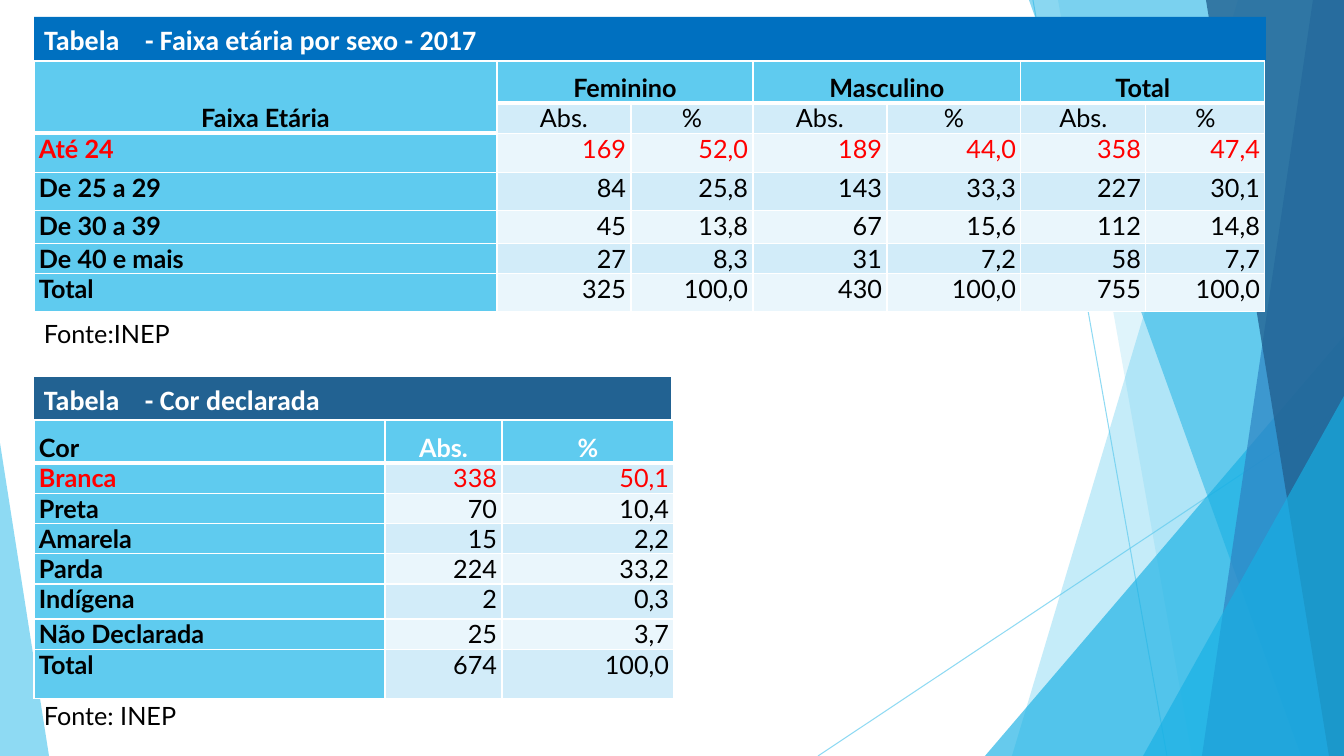
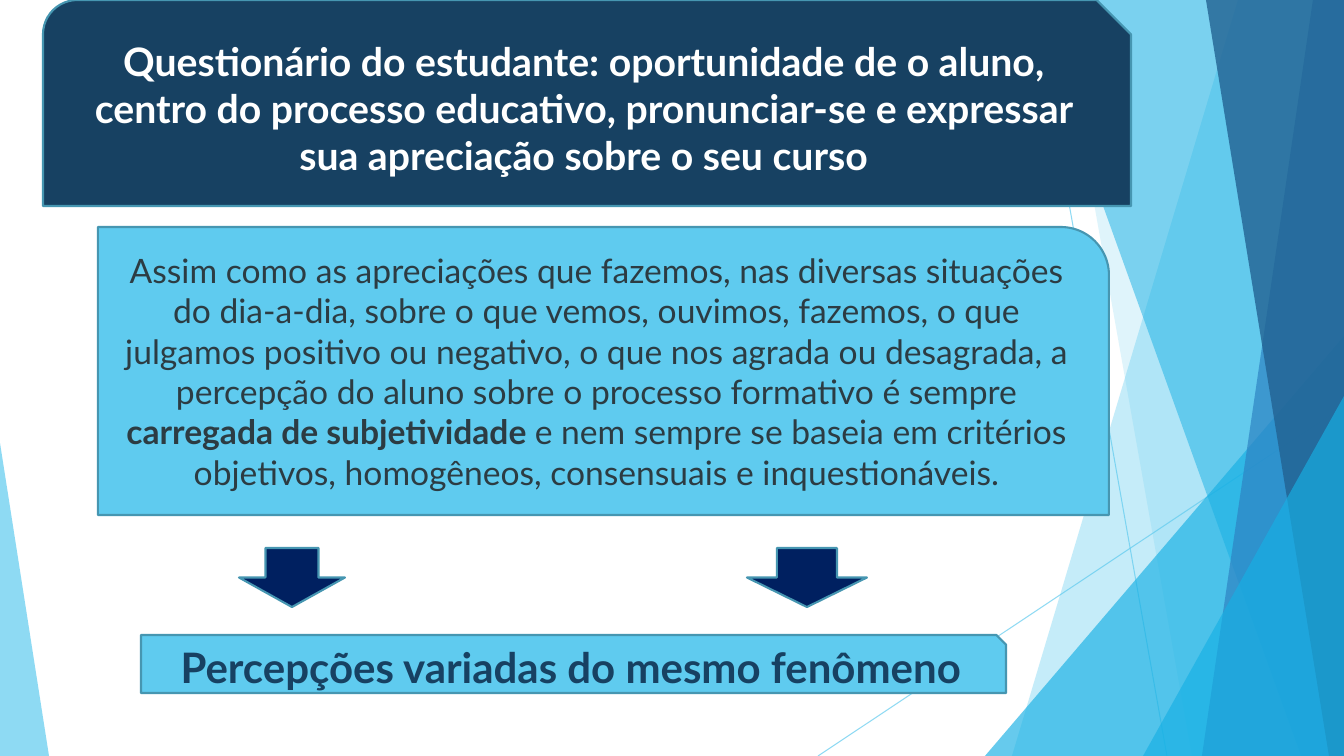
from lxml import etree
from pptx import Presentation
from pptx.dml.color import RGBColor
from pptx.enum.shapes import MSO_CONNECTOR, MSO_SHAPE
from pptx.enum.text import MSO_ANCHOR, MSO_AUTO_SIZE, PP_ALIGN
from pptx.oxml.ns import qn
from pptx.util import Pt

LEFT, CENTER, RIGHT = PP_ALIGN.LEFT, PP_ALIGN.CENTER, PP_ALIGN.RIGHT
TOP, MIDDLE, BOTTOM = MSO_ANCHOR.TOP, MSO_ANCHOR.MIDDLE, MSO_ANCHOR.BOTTOM
RECT, TRIANGLE = MSO_SHAPE.RECTANGLE, MSO_SHAPE.ISOSCELES_TRIANGLE
SNIP_ROUND, ROUND_ONE = MSO_SHAPE.SNIP_ROUND_RECTANGLE, MSO_SHAPE.ROUND_1_RECTANGLE
SNIP_ONE, DOWN_ARROW = MSO_SHAPE.SNIP_1_RECTANGLE, MSO_SHAPE.DOWN_ARROW
STRAIGHT, NO_AUTOFIT = MSO_CONNECTOR.STRAIGHT, MSO_AUTO_SIZE.NONE

WIDTH, HEIGHT = 1344, 756
SCALE = 12192000 / WIDTH
SKY, CYAN, BLUE, STEEL = "5FCBEF", "17B0E4", "2E83C3", "226292"
NAVY, DEEP, OUTLINE, SLATE = "174162", "002060", "4696B1", "2C3C43"
ROYAL, PALE, PALER = "0070C0", "D2ECF9", "EAF6FC"
WHITE, BLACK, RED = "FFFFFF", "000000", "FF0000"
TEXT_FONT, BAR_FONT = "Lato", "Calibri"
TITLE_LAYOUT = 5
TAB_STOP = 101

RAYS = [((1033, 0), (1167, 756)), ((1344, 406), (818, 756))]
FACETS = [
    ("band", 1238, 1012, SKY, 36),
    ("band", 1058, 1192, SKY, 20),
    ("wedge", (985, 336, 359, 420), 1, CYAN, 66),
    ("band", 1029, 1301, CYAN, 50),
    ("band", 1313, 1202, BLUE, 70),
    ("band", 1206, 1329, STEEL, 80),
    ("wedge", (1143, 396, 201, 360), 1, CYAN, 66),
    ("wedge", (0, 443, 49, 313), 0, SKY, 70),
]

AGE = {
    "at": (34, 61),
    "columns": [463, 134, 122, 134, 134, 125, 119],
    "heights": [42, 29, 39, 38, 33, 30, 38],
    "head": [
        ["Faixa Etária", "Feminino", None, "Masculino", None, "Total", None],
        [None] + ["Abs.", "%"] * 3,
    ],
    "merges": [(0, 0, 1, 0), (0, 1, 0, 2), (0, 3, 0, 4), (0, 5, 0, 6)],
    "label_align": CENTER,
    "measure_color": BLACK,
    "highlight": "Até 24",
    "body": [
        ["Até 24", "169", "52,0", "189", "44,0", "358", "47,4"],
        ["De 25 a 29", "84", "25,8", "143", "33,3", "227", "30,1"],
        ["De 30 a 39", "45", "13,8", "67", "15,6", "112", "14,8"],
        ["De 40 e mais", "27", "8,3", "31", "7,2", "58", "7,7"],
        ["Total", "325", "100,0", "430", "100,0", "755", "100,0"],
    ],
}
RACE = {
    "at": (34, 420),
    "columns": [351, 117, 172],
    "heights": [43, 30, 30, 30, 30, 35, 30, 49],
    "head": [["Cor", "Abs.", "%"]],
    "merges": [],
    "label_align": LEFT,
    "measure_color": WHITE,
    "highlight": "Branca",
    "body": [
        ["Branca", "338", "50,1"],
        ["Preta", "70", "10,4"],
        ["Amarela", "15", "2,2"],
        ["Parda", "224", "33,2"],
        ["Indígena", "2", "0,3"],
        ["Não Declarada", "25", "3,7"],
        ["Total", "674", "100,0"],
    ],
}
AGE_TITLE = "Tabela\t- Faixa etária por sexo - 2017"
RACE_TITLE = "Tabela\t- Cor declarada"
SOURCES = [("Fonte:INEP", (34, 313, 273, 40)), ("Fonte: INEP", (34, 695, 274, 41))]

SURVEY_TITLE = (
    "Questionário do estudante: oportunidade de o aluno, centro do processo "
    "educativo, pronunciar-se e expressar sua apreciação sobre o seu curso"
)
PERCEPTION = [
    ("Assim como as apreciações que fazemos, nas diversas situações do dia-a-dia, "
     "sobre o que vemos, ouvimos, fazemos, o que julgamos positivo ou negativo, "
     "o que nos agrada ou desagrada, a percepção do aluno sobre o processo "
     "formativo é sempre ", False),
    ("carregada de subjetividade ", True),
    ("e nem sempre se baseia em critérios objetivos, homogêneos, consensuais e "
     "inquestionáveis.", False),
]
CONCLUSION = "Percepções variadas do mesmo fenômeno"
ARROWS = [(239, 548, 106, 59), (747, 548, 120, 59)]


def px(length):
    return round(length * SCALE)


def rgb(value):
    return RGBColor.from_string(value)


def paint(shape, color, outline=None):
    shape.fill.solid()
    shape.fill.fore_color.rgb = rgb(color)
    if outline:
        shape.line.color.rgb = rgb(outline)
        shape.line.width = Pt(1.5)
    else:
        shape.line.fill.background()


def set_alpha(shape, percent):
    for color in shape.element.spPr.findall(".//" + qn("a:srgbClr")):
        etree.SubElement(color, qn("a:alpha"), val=str(percent * 1000))


def add_block(slide, preset, box, color, outline=None):
    block = slide.shapes.add_shape(preset, *map(px, box))
    block.shadow.inherit = False
    paint(block, color, outline)
    return block


def style(paragraph, size, color, bold=False, align=LEFT, font=TEXT_FONT):
    paragraph.alignment = align
    paragraph.font.size = Pt(size)
    paragraph.font.name = font
    paragraph.font.bold = bold
    paragraph.font.color.rgb = rgb(color)


def write(shape, text, size, color, bold=False, align=LEFT, font=TEXT_FONT, anchor=MIDDLE):
    frame = shape.text_frame
    frame.word_wrap = True
    frame.auto_size = NO_AUTOFIT
    frame.vertical_anchor = anchor
    frame.text = text
    style(frame.paragraphs[0], size, color, bold, align, font)
    return frame.paragraphs[0]


def place(shape, box):
    shape.left, shape.top, shape.width, shape.height = map(px, box)


def write_bar(bar, text, color):
    paint(bar, color)
    paragraph = write(bar, text, 20, WHITE, True, font=BAR_FONT)
    tabs = etree.Element(qn("a:tabLst"))
    etree.SubElement(tabs, qn("a:tab"), pos=str(px(TAB_STOP)), algn="l")
    paragraph._p.pPr.find(qn("a:defRPr")).addprevious(tabs)


def add_ray(slide, start, end):
    ray = slide.shapes.add_connector(STRAIGHT, *map(px, start + end))
    ray.line.color.rgb = rgb(SKY)
    ray.line.width = Pt(0.75)
    set_alpha(ray, 70)
    etree.SubElement(ray.element.spPr, qn("a:effectLst"))
    return ray


def add_band(slide, top_x, bottom_x, color):
    outline = slide.shapes.build_freeform(px(top_x), 0)
    corners = [(WIDTH, 0), (WIDTH, HEIGHT), (bottom_x, HEIGHT)]
    outline.add_line_segments([(px(x), px(y)) for x, y in corners])
    band = outline.convert_to_shape()
    band.shadow.inherit = False
    paint(band, color)
    return band


def add_wedge(slide, box, apex, color):
    wedge = add_block(slide, TRIANGLE, box, color)
    wedge.adjustments[0] = apex
    return wedge


def decorate(layout, slide):
    decor = [add_ray(slide, *ends) for ends in RAYS]
    for kind, first, second, color, alpha in FACETS:
        facet = (add_band if kind == "band" else add_wedge)(slide, first, second, color)
        set_alpha(facet, alpha)
        decor.append(facet)
    for number, part in enumerate(decor, 100):
        part.element.xpath("./*/p:cNvPr")[0].set("id", str(number))
        layout.shapes.element.append(part.element)


def add_borders(cell, bottom):
    properties = cell._tc.get_or_add_tcPr()
    for side, width in (("L", 1), ("R", 1), ("T", 1), ("B", bottom)):
        border = etree.SubElement(properties, qn("a:ln" + side), w=str(int(Pt(width))))
        fill = etree.SubElement(border, qn("a:solidFill"))
        etree.SubElement(fill, qn("a:srgbClr"), val=WHITE)


def add_data_table(slide, data):
    rows = data["head"] + data["body"]
    head_count = len(data["head"])
    widths, heights = data["columns"], data["heights"]
    size = (sum(widths), sum(heights))
    table = slide.shapes.add_table(
        len(rows), len(widths), *map(px, data["at"] + size)).table
    table.horz_banding = False
    for column, width in zip(table.columns, widths):
        column.width = px(width)
    for row, height in zip(table.rows, heights):
        row.height = px(height)
    for top, left, bottom, right in data["merges"]:
        table.cell(top, left).merge(table.cell(bottom, right))
    for r, row in enumerate(rows):
        for c, text in enumerate(row):
            cell = table.cell(r, c)
            strong = r == 0 or c == 0
            is_head = r < head_count
            add_borders(cell, 3 if is_head and strong else 1)
            cell.fill.solid()
            cell.fill.fore_color.rgb = rgb(SKY if strong else PALE if r % 2 else PALER)
            cell.margin_left = cell.margin_right = px(5)
            cell.margin_top = cell.margin_bottom = 0
            cell.vertical_anchor = BOTTOM if is_head else TOP
            if is_head:
                align = CENTER if c else data["label_align"]
                color = data["measure_color"] if c else BLACK
            else:
                align = RIGHT if c else LEFT
                color = RED if row[0] == data["highlight"] else BLACK
            if text:
                cell.text = text
            style(cell.text_frame.paragraphs[0], 18, color, strong, align)


def build_tables(slide):
    title = slide.shapes.title
    place(title, (34, 17, 1232, 44))
    write_bar(title, AGE_TITLE, ROYAL)
    add_data_table(slide, AGE)
    write_bar(add_block(slide, RECT, (34, 377, 637, 44), STEEL), RACE_TITLE, STEEL)
    add_data_table(slide, RACE)
    for text, box in SOURCES:
        source = slide.shapes.add_textbox(*map(px, box))
        write(source, text, 18, BLACK, anchor=TOP)


def build_survey(slide):
    add_block(slide, SNIP_ROUND, (43, 0, 1088, 206), NAVY, OUTLINE)
    title = slide.shapes.title
    place(title, (53, 10, 1061, 196))
    write(title, SURVEY_TITLE, 28, WHITE, True, CENTER)
    slide.shapes.element.append(title.element)

    perception = add_block(slide, ROUND_ONE, (98, 227, 1011, 288), SKY, OUTLINE)
    paragraph = write(perception, "", 24, SLATE, align=CENTER)
    for text, bold in PERCEPTION:
        run = paragraph.add_run()
        run.text = text
        run.font.bold = bold

    conclusion = add_block(slide, SNIP_ONE, (141, 635, 865, 58), SKY, OUTLINE)
    write(conclusion, CONCLUSION, 30, NAVY, True, CENTER)
    for box in ARROWS:
        add_block(slide, DOWN_ARROW, box, DEEP, OUTLINE)


def main():
    deck = Presentation()
    deck.slide_width, deck.slide_height = px(WIDTH), px(HEIGHT)
    layout = deck.slide_layouts[TITLE_LAYOUT]
    tables, survey = (deck.slides.add_slide(layout) for _ in range(2))
    decorate(layout, tables)
    build_tables(tables)
    build_survey(survey)
    deck.save("out.pptx")


if __name__ == "__main__":
    main()
